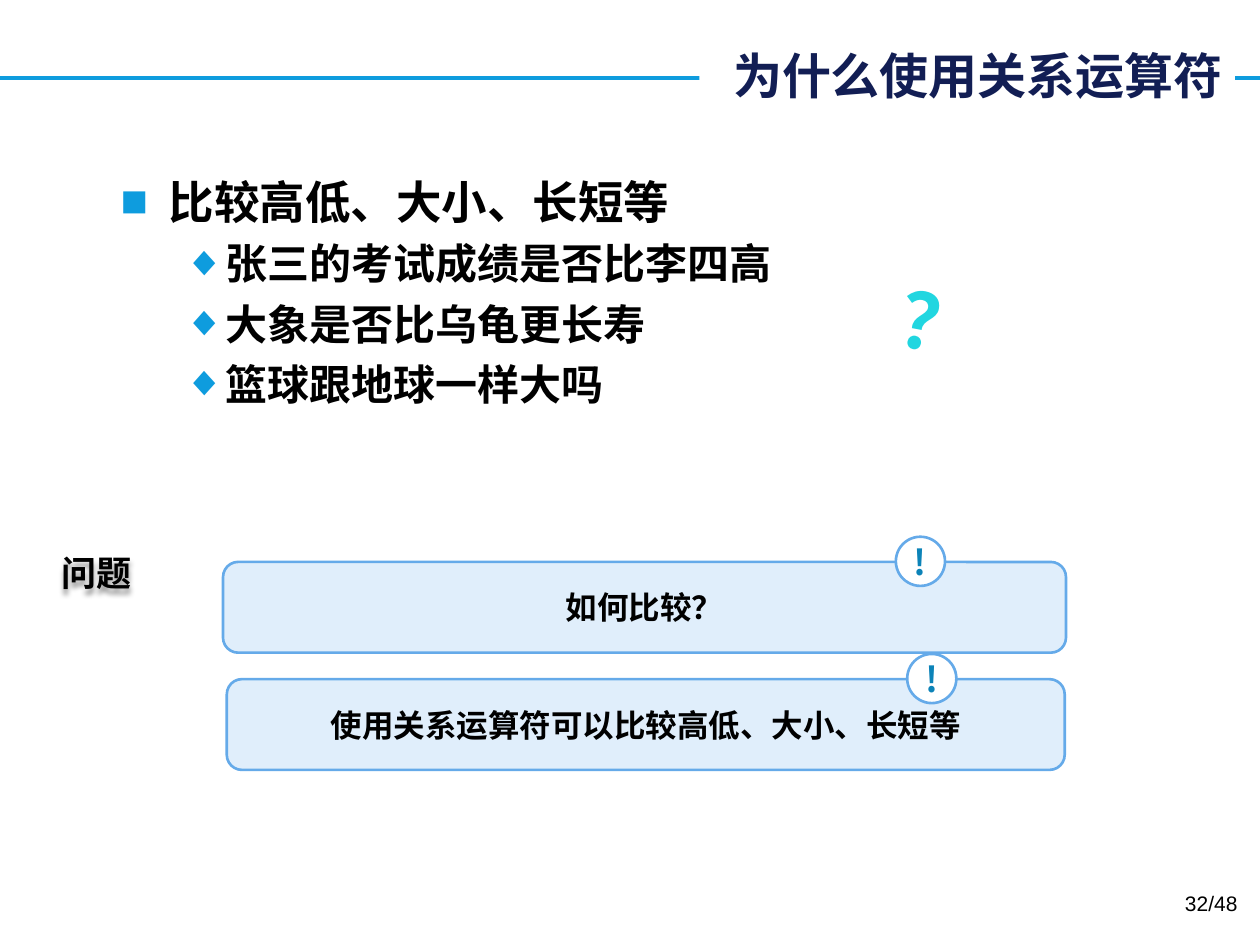
from dataclasses import dataclass

from lxml import etree
from pptx import Presentation
from pptx.dml import color
from pptx.enum import shapes, text
from pptx.oxml import ns
from pptx.util import Inches, Pt


@dataclass(frozen=True)
class Theme:
    # Colours
    ink: str = "000000"
    navy: str = "121E54"
    blue: str = "0E9CDE"
    pale: str = "E0EEFB"
    edge: str = "65AAE9"
    teal: str = "0C83B8"
    cyan: str = "21D6E0"
    white: str = "FFFFFF"
    # Fonts and type sizes
    cjk: str = "Noto Sans CJK SC"
    sans: str = "Arial"
    title: int = 28
    lead: int = 26
    point: int = 24
    query: int = 44
    label: int = 20
    note: int = 18
    page: int = 12


def rgb(code):
    return color.RGBColor.from_string(code)


def add(parent, tag, **attrs):
    node = etree.SubElement(parent, ns.qn(tag))
    for key, value in attrs.items():
        node.set(key, str(value))
    return node


class Deck:
    def __init__(self, theme):
        self.theme = theme
        self.prs = Presentation()
        self.prs.slide_width, self.prs.slide_height = Inches(10), Inches(7.5)
        self.slide = self.prs.slides.add_slide(self.prs.slide_layouts[6])

    def style(self, para, size, tint, font=None, bold=True):
        name = font or self.theme.cjk
        for run in para.runs:
            face = run.font
            face.size, face.bold, face.name = Pt(size), bold, name
            face.color.rgb = rgb(tint)
            add(run._r.get_or_add_rPr(), "a:ea", typeface=name)

    def rule(self, y):
        line = self.slide.shapes.add_connector(
            shapes.MSO_CONNECTOR.STRAIGHT, 0, Inches(y), Inches(10), Inches(y))
        line.line.color.rgb = rgb(self.theme.blue)
        line.line.width = Pt(2.25)
        add(line._element.spPr, "a:effectLst")

    def text(self, at, words, size, tint, align="LEFT", anchor="TOP",
             wrap=True, fill=None, **look):
        box = self.slide.shapes.add_textbox(*map(Inches, at))
        frame = box.text_frame
        frame.text, frame.word_wrap = words, wrap
        frame.vertical_anchor = text.MSO_ANCHOR[anchor]
        frame.paragraphs[0].alignment = text.PP_ALIGN[align]
        self.style(frame.paragraphs[0], size, tint, **look)
        if fill:
            box.fill.solid()
            box.fill.fore_color.rgb = rgb(fill)
        return box

    def shade(self, box):
        effects = add(box._element.spPr, "a:effectLst")
        shadow = add(effects, "a:outerShdw", blurRad=Pt(3), dist=Pt(3),
                     dir=5400000, algn="t", rotWithShape=0)
        add(add(shadow, "a:srgbClr", val=self.theme.ink), "a:alpha", val=40000)

    def list(self, at, items):
        frame = self.slide.shapes.add_textbox(*map(Inches, at)).text_frame
        frame.word_wrap = True
        marks = [("■", 0.38, 0.38, self.theme.lead),
                 ("◆", 0.81, 0.31, self.theme.point)]
        for i, (level, words) in enumerate(items):
            para = frame.add_paragraph() if i else frame.paragraphs[0]
            mark, left, hang, size = marks[level]
            para.text, para.level = words, level
            if i:
                para.space_before = Pt(5.5)
            props = para._p.get_or_add_pPr()
            props.set("marL", str(Inches(left)))
            props.set("indent", str(-Inches(hang)))
            add(add(props, "a:buClr"), "a:srgbClr", val=self.theme.blue)
            add(props, "a:buFont", typeface=self.theme.sans)
            add(props, "a:buChar", char=mark)
            self.style(para, size, self.theme.ink, font=self.theme.sans)

    def shape(self, kind, at, words, size, tint, fill):
        item = self.slide.shapes.add_shape(
            shapes.MSO_SHAPE[kind], *map(Inches, at))
        item.shadow.inherit = False
        item.fill.solid()
        item.fill.fore_color.rgb = rgb(fill)
        item.line.color.rgb = rgb(self.theme.edge)
        item.line.width = Pt(1.5)
        frame = item.text_frame
        frame.text = words
        frame.vertical_anchor = text.MSO_ANCHOR.MIDDLE
        frame.paragraphs[0].alignment = text.PP_ALIGN.CENTER
        self.style(frame.paragraphs[0], size, tint)
        return item

    def card(self, at, words):
        look = self.theme
        self.shape("ROUNDED_RECTANGLE", at, words,
                   look.note, look.ink, look.pale)

    def badge(self, x, y):
        look = self.theme
        frame = self.shape("OVAL", (x, y, 0.39, 0.39), "!",
                           look.label, look.teal, look.white).text_frame
        frame.word_wrap = False
        frame.margin_left = frame.margin_right = 0
        frame.margin_top = frame.margin_bottom = 0


def main():
    look = Theme()
    deck = Deck(look)

    # Heading over the rule
    deck.rule(0.62)
    deck.text((5.55, 0.31, 4.25, 0.57), "为什么使用关系运算符", look.title,
              look.navy, align="RIGHT", anchor="MIDDLE", fill=look.white)

    # Examples
    deck.list((0.86, 1.33, 8.36, 5.62), [
        (0, "比较高低、大小、长短等"),
        (1, "张三的考试成绩是否比李四高"),
        (1, "大象是否比乌龟更长寿"),
        (1, "篮球跟地球一样大吗"),
    ])
    query = deck.text((6.99, 2.17, 1.12, 1.41), "？", look.query, look.cyan,
                      wrap=False)
    query.rotation = 10.9

    # Question and answer cards
    deck.card((1.77, 4.46, 6.69, 0.72), "如何比较？")
    deck.card((1.8, 5.39, 6.65, 0.72),
              "使用关系运算符可以比较高低、大小、长短等")
    deck.badge(7.2, 5.19)
    deck.badge(7.11, 4.26)
    label = deck.text((0.39, 4.32, 0.77, 0.44), "问题", look.label, look.ink,
                      anchor="MIDDLE", wrap=False)
    deck.shade(label)

    # Page number
    deck.text((7.59, 7.02, 2.33, 0.4), "32/48", look.page, look.ink,
              align="RIGHT", font=look.sans, bold=False)

    deck.prs.save("out.pptx")


if __name__ == "__main__":
    main()
